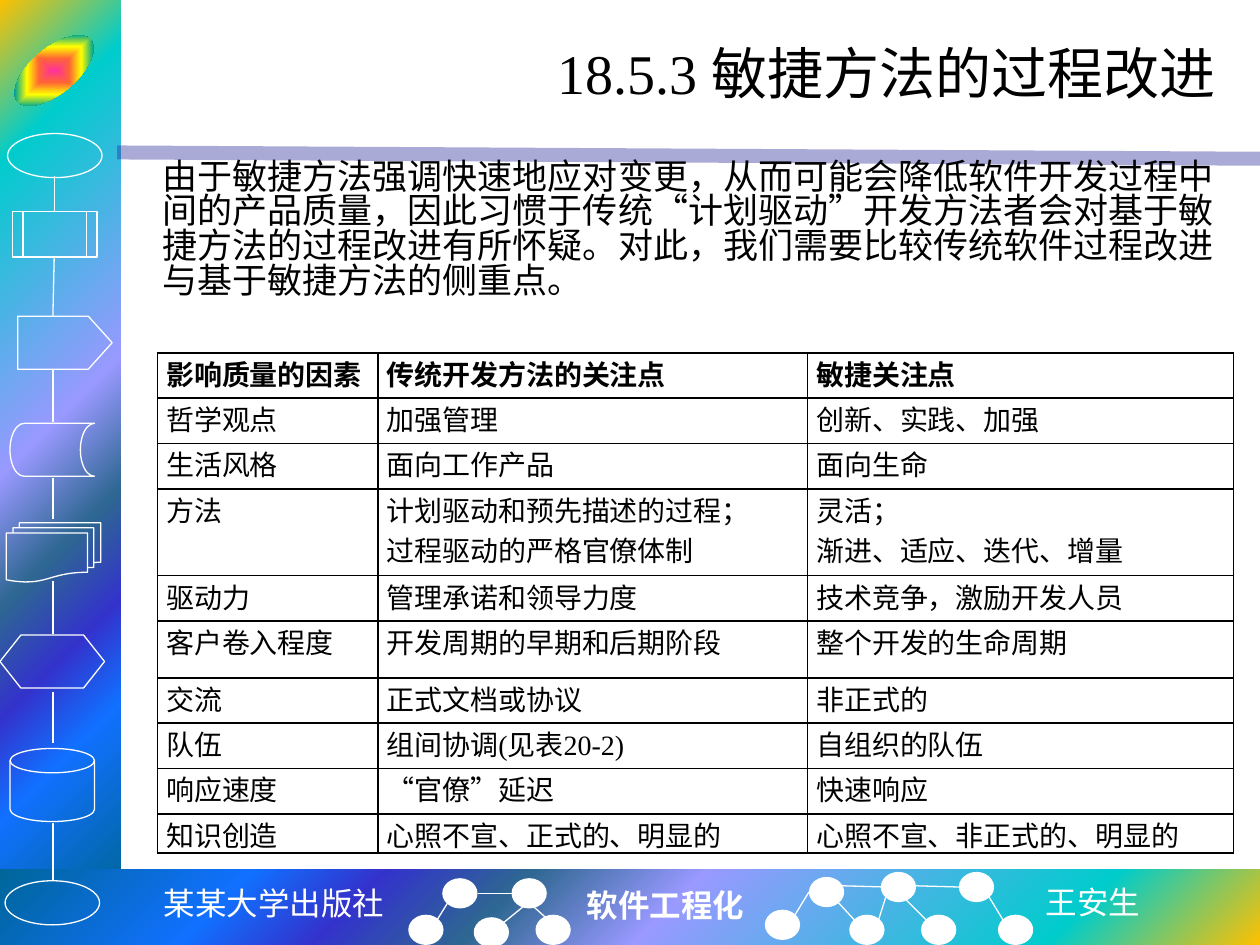
from typing import NamedTuple

from pptx import Presentation
from pptx.dml.color import RGBColor
from pptx.enum.lang import MSO_LANGUAGE_ID
from pptx.enum.shapes import MSO_CONNECTOR, MSO_SHAPE
from pptx.enum.text import MSO_ANCHOR, PP_ALIGN
from pptx.oxml import parse_xml
from pptx.oxml.ns import nsdecls, qn
from pptx.util import Inches, Pt
from lxml.etree import SubElement

SERIF, SANS, MONO = "Times New Roman", "Noto Sans CJK SC", "Courier New"
WHITE, BLACK = "FFFFFF", "000000"
FRAME_STOPS = [(0, "FFC000"), (16, "00CCCC"), (47, "9999FF"), (60, "2E6792"),
               (71, "3333CC"), (81, "1170FF"), (100, "006699")]
BADGE_STOPS = [(0, "FF3399"), (25, "FF6633"), (50, "FFFF00"), (75, "01A78F"), (100, "3366FF")]


class Symbol(NamedTuple):
    preset: MSO_SHAPE
    left: float
    top: float
    width: float
    height: float


class Link(NamedTuple):
    x1: float
    y1: float
    x2: float
    y2: float


class Label(NamedTuple):
    text: str
    left: float
    top: float
    width: float
    height: float
    size: int
    font: str
    color: str
    bold: bool = False
    align: PP_ALIGN = PP_ALIGN.LEFT
    wrap: bool = False
    anchor: MSO_ANCHOR = MSO_ANCHOR.TOP
    spacing: float = 1.0


prs = Presentation()
prs.slide_width, prs.slide_height = Inches(10), Inches(7.5)
slide = prs.slides.add_slide(prs.slide_layouts[6])


def rgb(color: str) -> RGBColor:
    return RGBColor.from_string(color)


def add_symbol(symbol: Symbol, fill: str = "", line: str = ""):
    shape = slide.shapes.add_shape(symbol.preset, *map(Inches, symbol[1:]))
    shape.shadow.inherit = False
    if fill:
        shape.fill.solid()
        shape.fill.fore_color.rgb = rgb(fill)
    else:
        shape.fill.background()
    if line:
        shape.line.color.rgb = rgb(line)
        shape.line.width = Pt(0.75)
    else:
        shape.line.fill.background()
    return shape


def add_gradient(symbol: Symbol, stops: list, kind: str, focus: tuple):
    shape = add_symbol(symbol)
    marks = "".join(f'<a:gs pos="{pos * 1000}"><a:srgbClr val="{color}"/></a:gs>'
                    for pos, color in stops)
    sides = " ".join(f'{side}="{value * 1000}"' for side, value in zip("ltrb", focus))
    gradient = parse_xml(
        f'<a:gradFill {nsdecls("a")} rotWithShape="1"><a:gsLst>{marks}</a:gsLst>'
        f'<a:path path="{kind}"><a:fillToRect {sides}/></a:path></a:gradFill>')
    properties = shape.element.spPr
    properties.replace(properties.find(qn("a:noFill")), gradient)
    return shape


def add_link(link: Link, color: str = WHITE, width: float = 0.75):
    line = slide.shapes.add_connector(MSO_CONNECTOR.STRAIGHT, *map(Inches, link))
    line.line.color.rgb = rgb(color)
    line.line.width = Pt(width)
    SubElement(line.element.spPr, qn("a:effectLst"))
    return line


def add_run(paragraph, text: str, size: int, font: str, color: str, bold: bool) -> None:
    run = paragraph.add_run()
    run.text = text
    run.font.size, run.font.name, run.font.bold = Pt(size), font, bold
    run.font.color.rgb = rgb(color)
    run.font.language_id = MSO_LANGUAGE_ID.SIMPLIFIED_CHINESE
    run.font._element.find(qn("a:latin")).addnext(
        parse_xml(f'<a:ea {nsdecls("a")} typeface="{SANS}"/>'))


def add_label(label: Label) -> None:
    frame = slide.shapes.add_textbox(
        *map(Inches, (label.left, label.top, label.width, label.height))).text_frame
    frame.word_wrap, frame.vertical_anchor = label.wrap, label.anchor
    paragraph = frame.paragraphs[0]
    paragraph.alignment, paragraph.line_spacing = label.align, label.spacing
    add_run(paragraph, label.text, label.size, label.font, label.color, label.bold)


def fill_cell(cell, text: str, bold: bool) -> None:
    cell.fill.background()
    cell.margin_left = cell.margin_right = Inches(0.07)
    cell.margin_top = cell.margin_bottom = 0
    for index, line in enumerate(text.split("\n")):
        frame = cell.text_frame
        paragraph = frame.add_paragraph() if index else frame.paragraphs[0]
        paragraph.alignment = PP_ALIGN.JUSTIFY
        add_run(paragraph, line, 16, SERIF, BLACK, bold)
    for index, side in enumerate("LRTB"):
        cell._tc.get_or_add_tcPr().insert(index, parse_xml(
            f'<a:ln{side} {nsdecls("a")} w="12700"><a:solidFill>'
            f'<a:srgbClr val="{BLACK}"/></a:solidFill></a:ln{side}>'))


# Gradient frame and title rule
add_gradient(Symbol(MSO_SHAPE.RECTANGLE, 0, 0, 0.96, 7.09), FRAME_STOPS, "circle", (0, 0, 100, 100))
add_gradient(Symbol(MSO_SHAPE.RECTANGLE, 0, 6.9, 10, 0.6), FRAME_STOPS, "circle", (100, 100, 0, 0))
title_rule = add_link(Link(0.93, 1.21, 10, 1.26), "262699", 8)
SubElement(next(title_rule.element.spPr.iter(qn("a:srgbClr"))), qn("a:alpha")).set("val", "39000")

# Flowchart down the side
badge = add_gradient(Symbol(MSO_SHAPE.OVAL, 0.05, 0.38, 0.76, 0.36), BADGE_STOPS, "shape", (50,) * 4)
badge.rotation = -40
for step in [
    Symbol(MSO_SHAPE.OVAL, 0.06, 1.06, 0.75, 0.35),
    Symbol(MSO_SHAPE.FLOWCHART_PREDEFINED_PROCESS, 0.1, 1.68, 0.67, 0.36),
    Symbol(MSO_SHAPE.PENTAGON, 0.14, 2.51, 0.75, 0.42),
    Symbol(MSO_SHAPE.FLOWCHART_STORED_DATA, 0.08, 3.36, 0.67, 0.42),
    Symbol(MSO_SHAPE.FLOWCHART_MULTIDOCUMENT, 0.05, 4.15, 0.75, 0.47),
    Symbol(MSO_SHAPE.FLOWCHART_PREPARATION, 0, 5.04, 0.83, 0.42),
    Symbol(MSO_SHAPE.FLOWCHART_MAGNETIC_DISK, 0.08, 5.94, 0.67, 0.58),
    Symbol(MSO_SHAPE.OVAL, 0.04, 6.99, 0.75, 0.35),
]:
    outline = add_symbol(step, line=WHITE)
    if step.preset == MSO_SHAPE.PENTAGON:
        outline.adjustments[0] = 0.45
add_link(Link(0.43, 1.4, 0.43, 1.68))
add_link(Link(0.43, 2.05, 0.42, 2.51))
for start, end in [(2.93, 3.35), (3.79, 4.12), (4.61, 5.03), (5.49, 5.9), (6.53, 6.99)]:
    add_link(Link(0.42, start, 0.42, end))

# Node trees in the footer
for left, top in [(3.51, 6.97), (4.06, 6.97), (3.24, 7.26), (3.76, 7.28), (4.25, 7.26),
                  (6.42, 6.96), (6.99, 6.92), (7.61, 6.92), (6.07, 7.22), (6.74, 7.26),
                  (7.31, 7.26), (7.92, 7.26)]:
    add_symbol(Symbol(MSO_SHAPE.OVAL, left, top, 0.28, 0.24), fill=WHITE)
for branch in [
    Link(3.47, 7.3, 3.55, 7.17), Link(4, 7.32, 4.16, 7.19), Link(4.06, 7.09, 3.79, 7.09),
    Link(4.34, 7.29, 4.24, 7.2), Link(6.78, 7.3, 6.65, 7.16), Link(7.35, 7.3, 7.15, 7.1),
    Link(7.96, 7.3, 7.85, 7.12), Link(6.97, 7.31, 7.03, 7.12), Link(7.26, 7.03, 7.61, 7.04),
    Link(6.31, 7.26, 6.42, 7.08), Link(6.68, 7.03, 7.03, 7.04),
]:
    add_link(branch)

# Footer, title and introduction
for label in [
    Label("某某大学出版社", 1.19, 6.97, 1.97, 0.4, 18, MONO, WHITE, align=PP_ALIGN.CENTER),
    Label("软件工程化", 4.56, 6.98, 1.46, 0.4, 18, SERIF, WHITE, bold=True),
    Label("王安生", 8.2, 6.96, 0.96, 0.4, 18, SANS, WHITE),
    Label("18.5.3 敏捷方法的过程改进", 1.25, 0.17, 8.5, 0.81, 32, SERIF, BLACK,
          align=PP_ALIGN.RIGHT, wrap=True, anchor=MSO_ANCHOR.MIDDLE),
    Label("由于敏捷方法强调快速地应对变更，从而可能会降低软件开发过程中间的产品质量，"
          "因此习惯于传统“计划驱动”开发方法者会对基于敏捷方法的过程改进有所怀疑。"
          "对此，我们需要比较传统软件过程改进与基于敏捷方法的侧重点。",
          1.19, 1.23, 8.66, 1.45, 20, SERIF, BLACK, wrap=True, spacing=0.83),
]:
    add_label(label)

# Comparison table
COMPARISON = [
    (0.36, "影响质量的因素", "传统开发方法的关注点", "敏捷关注点"),
    (0.36, "哲学观点", "加强管理", "创新、实践、加强"),
    (0.36, "生活风格", "面向工作产品", "面向生命"),
    (0.69, "方法", "计划驱动和预先描述的过程；\n过程驱动的严格官僚体制", "灵活；\n渐进、适应、迭代、增量"),
    (0.36, "驱动力", "管理承诺和领导力度", "技术竞争，激励开发人员"),
    (0.45, "客户卷入程度", "开发周期的早期和后期阶段", "整个开发的生命周期"),
    (0.36, "交流", "正式文档或协议", "非正式的"),
    (0.36, "队伍", "组间协调(见表20-2)", "自组织的队伍"),
    (0.36, "响应速度", "“官僚”延迟", "快速响应"),
    (0.31, "知识创造", "心照不宣、正式的、明显的", "心照不宣、非正式的、明显的"),
]
table = slide.shapes.add_table(len(COMPARISON), 3, *map(Inches, (1.25, 2.8, 8.54, 3.95))).table
table.first_row = table.horz_banding = False
for column, width in zip(table.columns, (1.75, 3.41, 3.38)):
    column.width = Inches(width)
for index, (height, *texts) in enumerate(COMPARISON):
    table.rows[index].height = Inches(height)
    for cell, text in zip(table.rows[index].cells, texts):
        fill_cell(cell, text, bold=index == 0)

prs.save("out.pptx")
